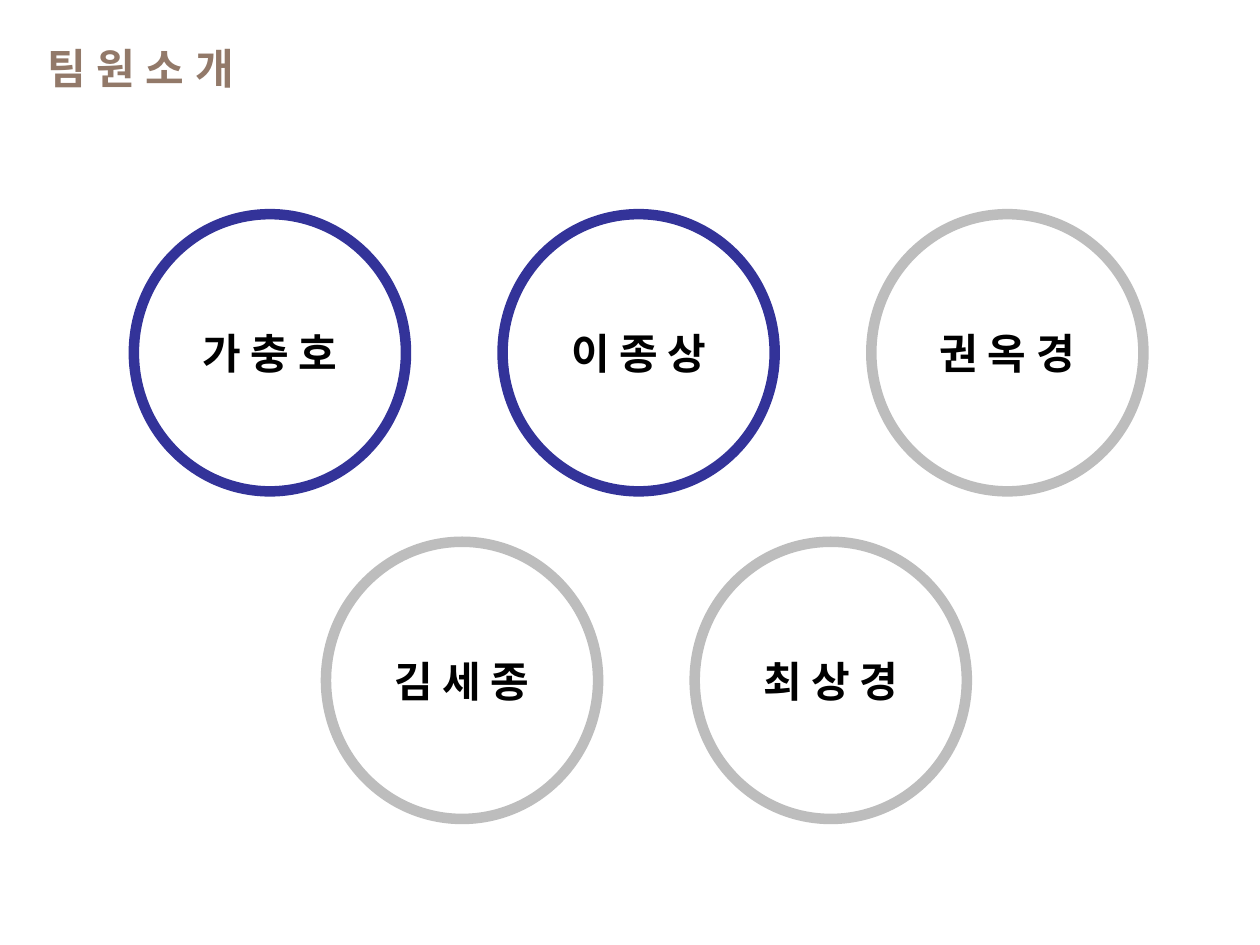
from dataclasses import dataclass

from lxml import etree
from pptx import Presentation
from pptx.dml.color import RGBColor
from pptx.enum.shapes import MSO_SHAPE
from pptx.enum.text import MSO_ANCHOR, MSO_AUTO_SIZE, PP_ALIGN
from pptx.oxml.ns import qn
from pptx.util import Pt

OVAL = MSO_SHAPE.OVAL
MIDDLE = MSO_ANCHOR.MIDDLE
GROW = MSO_AUTO_SIZE.SHAPE_TO_FIT_TEXT
LEFT, CENTER = PP_ALIGN.LEFT, PP_ALIGN.CENTER


@dataclass(frozen=True)
class Theme:
    font: str = "Noto Sans CJK KR"
    size: float = 24
    line: float = 6
    paper: str = "FFFFFF"
    ink: str = "000000"
    title: str = "927969"
    blue: str = "333399"
    gray: str = "BDBDBD"


class Deck:
    def __init__(self, theme, slide):
        self.theme = theme
        self.slide = slide

    def label(self, frame, text, color, align, gap=0):
        frame.text = text
        para = frame.paragraphs[0]
        para.alignment = align
        run = para.runs[0]
        font = run.font
        font.name = self.theme.font
        font.size = Pt(self.theme.size)
        font.bold = True
        font.color.rgb = RGBColor.from_string(color)
        props = run._r.get_or_add_rPr()
        etree.SubElement(props, qn("a:ea"), typeface=self.theme.font)
        if gap:
            props.set("spc", str(gap * 100))

    def title(self, text, x, y, w, h):
        box = self.slide.shapes.add_textbox(Pt(x), Pt(y), Pt(w), Pt(h))
        frame = box.text_frame
        frame.word_wrap = False
        frame.auto_size = GROW
        self.label(frame, text, self.theme.title, LEFT, gap=6)

    def ring(self, name, color, x, y, w, h):
        oval = self.slide.shapes.add_shape(OVAL, Pt(x), Pt(y), Pt(w), Pt(h))
        oval.shadow.inherit = False
        oval.fill.solid()
        oval.fill.fore_color.rgb = RGBColor.from_string(self.theme.paper)
        oval.line.color.rgb = RGBColor.from_string(color)
        oval.line.width = Pt(self.theme.line)
        oval.text_frame.vertical_anchor = MIDDLE
        self.label(oval.text_frame, name, self.theme.ink, CENTER)


def main():
    """Build the team introduction slide."""
    show = Presentation()
    show.slide_width, show.slide_height = Pt(720), Pt(540)
    theme = Theme()
    deck = Deck(theme, show.slides.add_slide(show.slide_layouts[6]))

    wide, high, step = 155.5, 158.4, 210.7
    rows = [
        (76.5, 122.4, [("가 충 호", theme.blue), ("이 종 상", theme.blue), ("권 옥 경", theme.gray)]),
        (186.3, 309.6, [("김 세 종", theme.gray), ("최 상 경", theme.gray)]),
    ]
    for left, top, team in rows:
        for col, (name, color) in enumerate(team):
            deck.ring(name, color, left + col * step, top, wide, high)

    deck.title("팀원소개", 20.2, 20.9, 126.7, 36)
    show.save("out.pptx")


if __name__ == "__main__":
    main()
